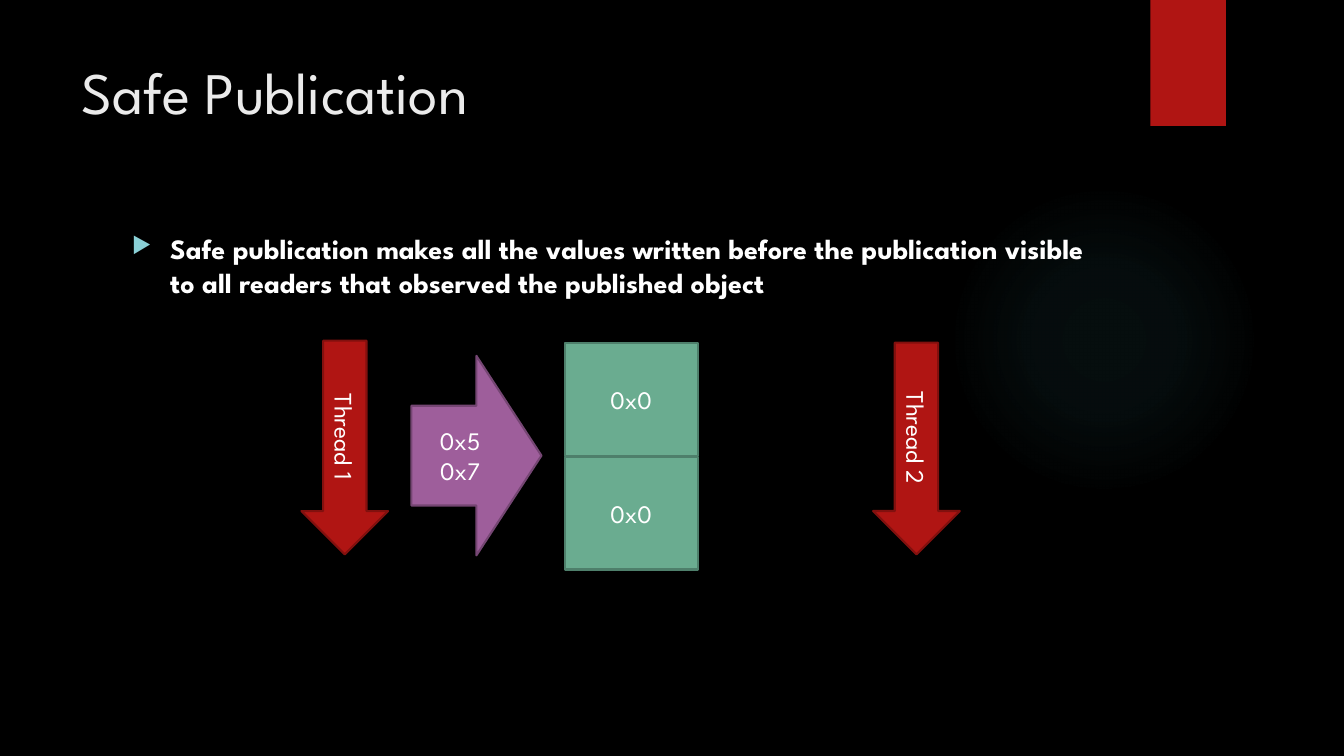
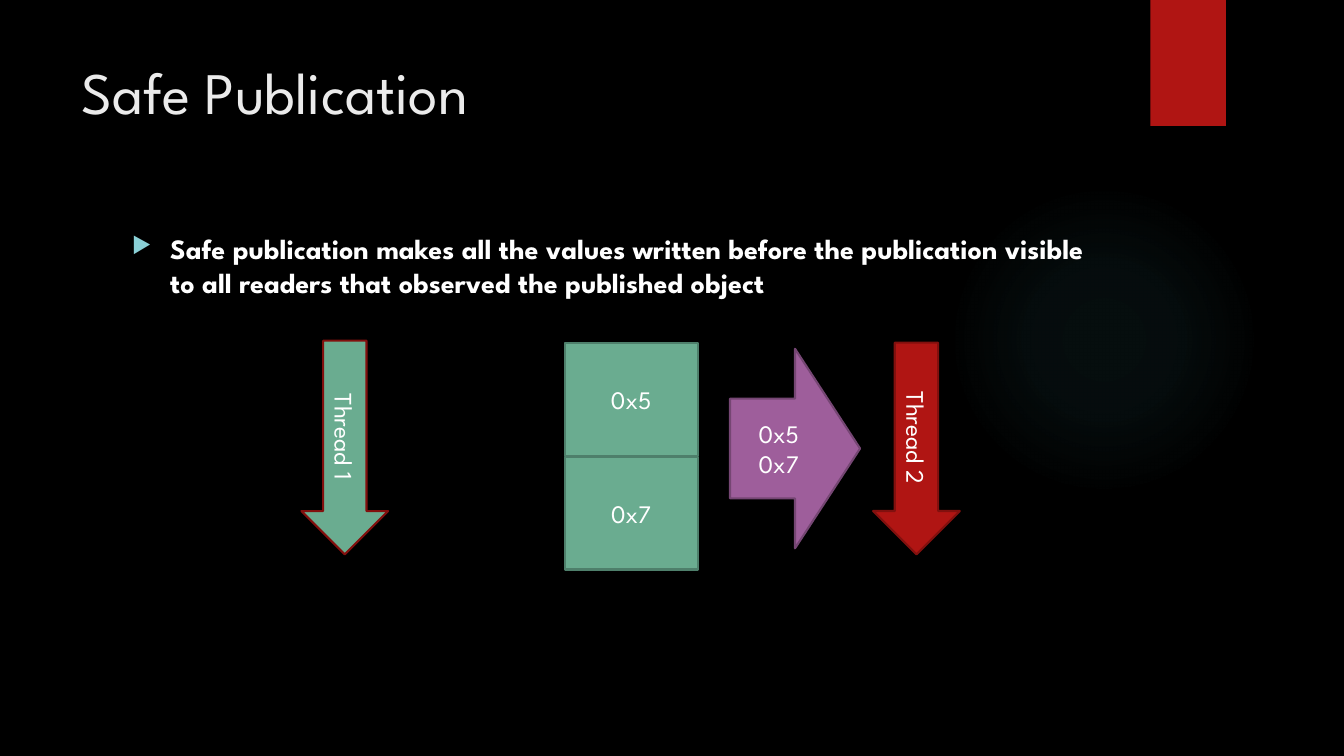
from dataclasses import dataclass

from lxml.etree import SubElement
from pptx import Presentation
from pptx.dml.color import RGBColor
from pptx.enum.shapes import MSO_SHAPE
from pptx.enum.text import MSO_ANCHOR, MSO_AUTO_SIZE, PP_ALIGN
from pptx.oxml.ns import qn
from pptx.shapes.autoshape import Shape
from pptx.slide import Slide
from pptx.text.text import TextFrame
from pptx.util import Emu, Pt

EMU_PER_PX = 9144
FONT = "League Spartan"
COLORS = {
    "background": "000000",
    "title": "EBEBEB",
    "text": "FFFFFF",
    "bullet": "8AD0D6",
    "glow": "50B9C1",
    "red": "B01513",
    "red_line": "82100E",
    "green": "6AAC90",
    "green_line": "4E7F6B",
    "purple": "9E5E9B",
    "purple_line": "754673",
}
TITLE = "Safe Publication"
STATEMENT = (
    "Safe publication makes all the values written before the publication "
    "visible to all readers that observed the published object"
)
PUBLISHED = ("0x5", "0x7")
CELL_TOP, CELL_HEIGHT, CELL_PITCH = 340, 112, 113
GLOW_STOPS = ((0, 7), (36, 6), (69, 0))


@dataclass(frozen=True)
class Area:
    left: int
    top: int
    width: int
    height: int

    def emu(self) -> tuple[Emu, ...]:
        lengths = (self.left, self.top, self.width, self.height)
        return tuple(px(length) for length in lengths)


@dataclass(frozen=True)
class Block:
    preset: MSO_SHAPE
    area: Area
    text: str
    fill: str
    line: str
    vertical: bool = False


@dataclass(frozen=True)
class Stage:
    writer_fill: str
    memory: tuple[str, str]
    transfer: Area


STAGES = (
    Stage("red", ("0x0", "0x0"), Area(408, 353, 129, 198)),
    Stage("green", PUBLISHED, Area(724, 346, 129, 198)),
)


def px(length: int) -> Emu:
    return Emu(length * EMU_PER_PX)


def color(name: str) -> RGBColor:
    return RGBColor.from_string(COLORS[name])


def format_text(frame: TextFrame, size: int, name: str, align: PP_ALIGN, bold: bool = False) -> None:
    frame.word_wrap = True
    for para in frame.paragraphs:
        para.alignment = align
        for span in para.runs:
            span.font.name = FONT
            span.font.size = Pt(size)
            span.font.bold = bold
            span.font.color.rgb = color(name)


def add_plain_shape(page: Slide, preset: MSO_SHAPE, area: Area, fill: str) -> Shape:
    shape = page.shapes.add_shape(preset, *area.emu())
    shape.shadow.inherit = False
    shape.fill.solid()
    shape.fill.fore_color.rgb = color(fill)
    shape.line.fill.background()
    return shape


def add_glow(page: Slide) -> None:
    glow = add_plain_shape(page, MSO_SHAPE.OVAL, Area(941, 183, 308, 308), "glow")
    glow.fill.gradient()
    gradient = glow.element.spPr.find(qn("a:gradFill"))
    for child in list(gradient):
        gradient.remove(child)
    stops = SubElement(gradient, qn("a:gsLst"))
    for position, opacity in GLOW_STOPS:
        stop = SubElement(stops, qn("a:gs"), pos=str(position * 1000))
        tint = SubElement(stop, qn("a:srgbClr"), val=COLORS["glow"])
        SubElement(tint, qn("a:alpha"), val=str(opacity * 1000))
    circle = SubElement(gradient, qn("a:path"), path="circle")
    SubElement(circle, qn("a:fillToRect"), dict.fromkeys("ltrb", "50000"))


def set_title(page: Slide) -> None:
    title = page.shapes.title
    title.left, title.top, title.width, title.height = Area(71, 50, 1029, 153).emu()
    frame = title.text_frame
    frame.text = TITLE
    frame.vertical_anchor = MSO_ANCHOR.TOP
    frame.auto_size = MSO_AUTO_SIZE.NONE
    format_text(frame, 42, "title", PP_ALIGN.LEFT)


def add_statement(page: Slide) -> None:
    box = page.shapes.add_textbox(*Area(121, 225, 978, 92).emu())
    frame = box.text_frame
    frame.text = STATEMENT
    format_text(frame, 20, "text", PP_ALIGN.LEFT, bold=True)
    para = frame.paragraphs[0]
    para.space_before = Pt(10)
    properties = para._p.get_or_add_pPr()
    properties.set("marL", str(px(38)))
    properties.set("indent", str(px(-38)))
    bullet_color = SubElement(properties, qn("a:buClr"))
    SubElement(bullet_color, qn("a:srgbClr"), val=COLORS["bullet"])
    SubElement(properties, qn("a:buSzPct"), val="80000")
    SubElement(properties, qn("a:buChar"), char="▶")


def add_block(page: Slide, block: Block) -> None:
    shape = add_plain_shape(page, block.preset, block.area, block.fill)
    shape.line.color.rgb = color(block.line)
    shape.line.width = Pt(1.5)
    frame = shape.text_frame
    frame.text = block.text
    frame.vertical_anchor = MSO_ANCHOR.MIDDLE
    format_text(frame, 18, "text", PP_ALIGN.CENTER)
    if block.vertical:
        frame._txBody.bodyPr.set("vert", "vert")


def stage_blocks(stage: Stage) -> list[Block]:
    down = MSO_SHAPE.DOWN_ARROW
    threads = [
        Block(down, Area(299, 338, 86, 212), "Thread 1", stage.writer_fill, "red_line", True),
        Block(down, Area(866, 340, 86, 210), "Thread 2", "red", "red_line", True),
    ]
    cells = [
        Block(
            MSO_SHAPE.RECTANGLE,
            Area(560, CELL_TOP + row * CELL_PITCH, 132, CELL_HEIGHT),
            value,
            "green",
            "green_line",
        )
        for row, value in enumerate(stage.memory)
    ]
    transfer = Block(
        MSO_SHAPE.RIGHT_ARROW, stage.transfer, "\n".join(PUBLISHED), "purple", "purple_line"
    )
    return [*threads, *cells, transfer]


def main() -> None:
    deck = Presentation()
    deck.slide_width, deck.slide_height = px(1333), px(750)
    background = deck.slide_master.background.fill
    background.solid()
    background.fore_color.rgb = color("background")
    for stage in STAGES:
        page = deck.slides.add_slide(deck.slide_layouts.get_by_name("Title Only"))
        add_glow(page)
        add_plain_shape(page, MSO_SHAPE.RECTANGLE, Area(1141, 0, 75, 125), "red")
        set_title(page)
        add_statement(page)
        for block in stage_blocks(stage):
            add_block(page, block)
    deck.save("out.pptx")


if __name__ == "__main__":
    main()
